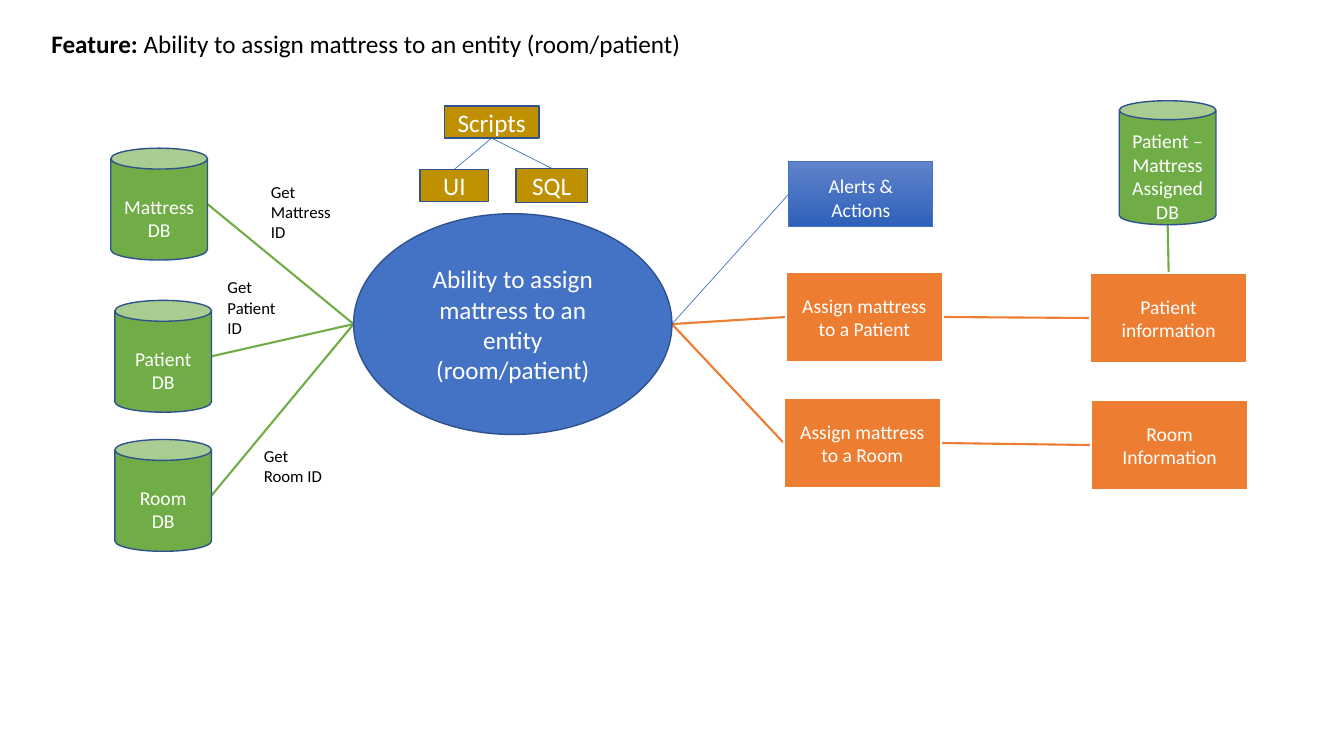
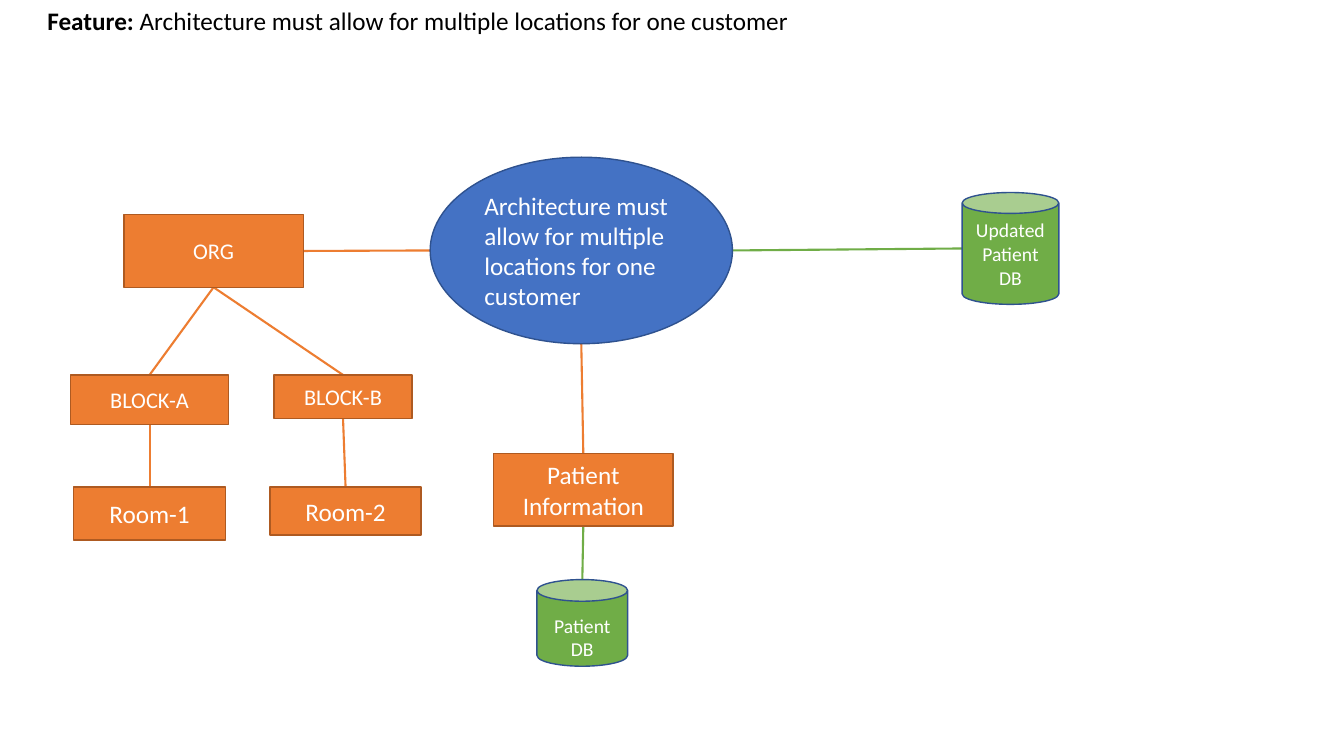
"""Build two feature diagrams: mattress assignment and multiple customer locations."""
from dataclasses import dataclass

from lxml.etree import SubElement
from pptx import Presentation
from pptx.dml.color import RGBColor
from pptx.enum.shapes import MSO_CONNECTOR, MSO_SHAPE
from pptx.enum.text import MSO_ANCHOR, MSO_AUTO_SIZE, PP_ALIGN
from pptx.oxml.ns import qn
from pptx.util import Pt


@dataclass(frozen=True)
class Theme:
    font: str = "Calibri"
    black: str = "000000"
    white: str = "FFFFFF"
    blue: str = "4472C4"
    navy: str = "2F528F"
    green: str = "70AD47"
    orange: str = "ED7D31"
    rust: str = "AE5A21"
    gold: str = "BF9000"
    gradient: tuple = ("6083CB", "2E61BA")
    heading: int = 18
    block: int = 16
    body: int = 14
    label: int = 12
    thin: float = 0.5
    outline: float = 1
    thick: float = 1.5


THEME = Theme()
EMU_PER_PX = 9144
TITLE_ONLY = 5


def px(length):
    return int(length * EMU_PER_PX)


def color(value):
    return RGBColor.from_string(value)


def add_run(paragraph, text, size, text_color, bold=False):
    run = paragraph.add_run()
    run.text = text
    run.font.name = THEME.font
    run.font.size = Pt(size)
    run.font.bold = bold
    run.font.color.rgb = color(text_color)


def add_feature_slide(presentation, feature, left, top, height):
    slide = presentation.slides.add_slide(presentation.slide_layouts[TITLE_ONLY])
    title = slide.shapes.title
    title.left, title.top, title.width, title.height = map(px, (left, top, 1248, height))
    frame = title.text_frame
    frame.auto_size = MSO_AUTO_SIZE.NONE
    frame.vertical_anchor = MSO_ANCHOR.TOP
    paragraph = frame.paragraphs[0]
    paragraph.alignment = PP_ALIGN.LEFT
    add_run(paragraph, "Feature: ", THEME.heading, THEME.black, bold=True)
    add_run(paragraph, feature, THEME.heading, THEME.black)
    return slide


def add_node(slide, kind, box, text, fill, line, size=THEME.body,
             width=THEME.outline, top_inset=5, alignment=PP_ALIGN.CENTER):
    shape = slide.shapes.add_shape(kind, *map(px, box))
    shape.shadow.inherit = False
    shape.fill.solid()
    shape.fill.fore_color.rgb = color(fill)
    shape.line.color.rgb = color(line)
    shape.line.width = Pt(width)
    frame = shape.text_frame
    frame.word_wrap = True
    frame.vertical_anchor = MSO_ANCHOR.MIDDLE
    frame.margin_top = px(top_inset)
    paragraph = frame.paragraphs[0]
    paragraph.alignment = alignment
    for index, part in enumerate(text.split("\n")):
        if index:
            paragraph.add_line_break()
        add_run(paragraph, part, size, THEME.white)
    return shape


def add_feature(slide, box, text, alignment):
    return add_node(slide, MSO_SHAPE.OVAL, box, text, THEME.blue, THEME.navy,
                    THEME.heading, alignment=alignment)


def add_database(slide, box, text, rim=0.216, top_inset=22):
    can = add_node(slide, MSO_SHAPE.CAN, box, text, THEME.green, THEME.navy,
                   top_inset=top_inset)
    can.adjustments[0] = rim
    return can


def add_script(slide, box, text):
    return add_node(slide, MSO_SHAPE.RECTANGLE, box, text, THEME.gold, THEME.navy,
                    THEME.heading)


def add_task(slide, left, top, text):
    return add_node(slide, MSO_SHAPE.RECTANGLE, (left, top, 156, 89), text,
                    THEME.orange, THEME.white, width=THEME.thick)


def add_place(slide, box, text, size):
    return add_node(slide, MSO_SHAPE.RECTANGLE, box, text, THEME.orange, THEME.rust, size)


def add_alerts(slide, box, text):
    shape = add_node(slide, MSO_SHAPE.RECTANGLE, box, text, THEME.blue, THEME.blue,
                     width=THEME.thin, top_inset=12)
    shape.fill.gradient()
    shape.fill.gradient_angle = 270
    for stop, value in zip(shape.fill.gradient_stops, THEME.gradient):
        stop.color.rgb = color(value)
    return shape


def add_label(slide, box, text):
    label = slide.shapes.add_textbox(*map(px, box))
    label.text_frame.word_wrap = True
    add_run(label.text_frame.paragraphs[0], text, THEME.label, THEME.black)


def side_point(shape, side):
    across, down = {"top": (1, 0), "left": (0, 1), "bottom": (1, 2), "right": (2, 1)}[side]
    return shape.left + shape.width * across // 2, shape.top + shape.height * down // 2


def link(slide, start, start_side, end, end_side, line, width=THEME.thick):
    connector = slide.shapes.add_connector(
        MSO_CONNECTOR.STRAIGHT, *side_point(start, start_side), *side_point(end, end_side))
    connector.line.color.rgb = color(line)
    connector.line.width = Pt(width)
    element = connector.element
    SubElement(element.spPr, qn("a:effectLst"))
    element.getparent().insert(2, element)


def build_mattress_slide(presentation):
    text = "Ability to assign mattress to an entity (room/patient)"
    slide = add_feature_slide(presentation, text, 41, 23, 100)
    feature = add_feature(slide, (351, 212, 316, 219), text, PP_ALIGN.CENTER)

    scripts = add_script(slide, (441, 105, 94, 32), "Scripts")
    for box, name in (((417, 168, 68, 32), "UI"), ((512, 167, 71, 34), "SQL")):
        script = add_script(slide, box, name)
        link(slide, scripts, "bottom", script, "top", THEME.blue, THEME.thin)

    sources = (
        (110, 147, "Mattress DB", (259, 175, 84, 70), "Get Mattress ID"),
        (114, 298, "Patient DB", (216, 270, 84, 70), "Get Patient ID"),
        (114, 436, "Room\nDB", (252, 437, 84, 50), "Get Room ID"),
    )
    for left, top, name, label_box, label in sources:
        database = add_database(slide, (left, top, 96, 111), name)
        link(slide, database, "right", feature, "left", THEME.green)
        add_label(slide, label_box, label)

    alerts = add_alerts(slide, (783, 160, 143, 65), "Alerts & Actions")
    link(slide, alerts, "left", feature, "right", THEME.blue, THEME.thin)

    patient = add_task(slide, 1082, 271, "Patient information")
    room = add_task(slide, 1083, 397, "Room Information")
    for left, top, name, details in (
            (780, 270, "Assign mattress to a Patient", patient),
            (778, 395, "Assign mattress to a Room", room)):
        task = add_task(slide, left, top, name)
        link(slide, feature, "right", task, "left", THEME.orange)
        link(slide, task, "right", details, "left", THEME.orange)

    assigned = add_database(slide, (1111, 100, 96, 123),
                            "Patient –Mattress Assigned DB", rim=0.196)
    link(slide, assigned, "bottom", patient, "top", THEME.green)


def build_locations_slide(presentation):
    text = "Architecture must allow for multiple locations for one customer"
    slide = add_feature_slide(presentation, text, 37, 0, 130)
    feature = add_feature(slide, (427, 156, 300, 185), text, PP_ALIGN.LEFT)

    organization = add_place(slide, (123, 213, 178, 72), "ORG", THEME.block)
    link(slide, organization, "right", feature, "left", THEME.orange)
    branches = (
        ((70, 372, 157, 49), "BLOCK-A", (73, 483, 151, 53), "Room-1"),
        ((272, 372, 137, 43), "BLOCK-B", (268, 483, 150, 48), "Room-2"),
    )
    for block_box, block_name, room_box, room_name in branches:
        block = add_place(slide, block_box, block_name, THEME.block)
        room = add_place(slide, room_box, room_name, THEME.heading)
        link(slide, organization, "bottom", block, "top", THEME.orange)
        link(slide, block, "bottom", room, "top", THEME.orange)

    patient = add_place(slide, (490, 450, 178, 72), "Patient Information", THEME.heading)
    link(slide, feature, "bottom", patient, "top", THEME.orange)
    database = add_database(slide, (533, 575, 90, 86), "Patient DB", rim=0.25)
    link(slide, patient, "bottom", database, "top", THEME.green)
    updated = add_database(slide, (955, 191, 96, 111), "Updated\nPatient DB", top_inset=5)
    link(slide, feature, "right", updated, "left", THEME.green)


def main():
    presentation = Presentation()
    presentation.slide_width = px(1334)
    presentation.slide_height = px(750)
    build_mattress_slide(presentation)
    build_locations_slide(presentation)
    presentation.save("out.pptx")


if __name__ == "__main__":
    main()
